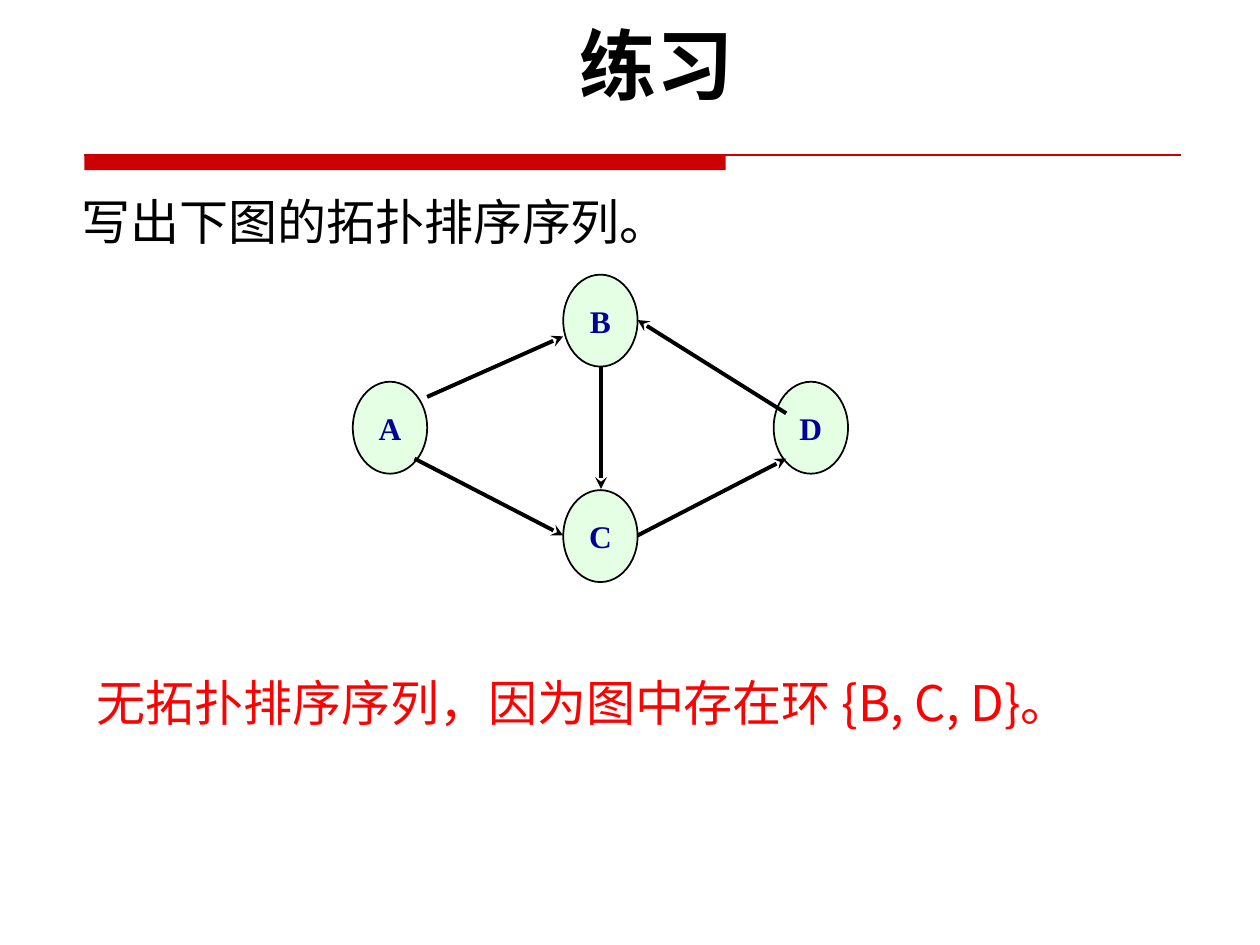
"""Build the topological-sort exercise slide with a four-node directed graph."""
from typing import NamedTuple

from lxml import etree
from pptx import Presentation
from pptx.dml.color import RGBColor
from pptx.enum.shapes import MSO_CONNECTOR, MSO_SHAPE
from pptx.enum.text import MSO_ANCHOR, MSO_AUTO_SIZE, PP_ALIGN
from pptx.oxml.ns import qn
from pptx.util import Inches, Pt

OVAL, RECT = MSO_SHAPE.OVAL, MSO_SHAPE.RECTANGLE
STRAIGHT = MSO_CONNECTOR.STRAIGHT
TOP, MIDDLE, BOTTOM = MSO_ANCHOR.TOP, MSO_ANCHOR.MIDDLE, MSO_ANCHOR.BOTTOM
CENTER, LEFT = PP_ALIGN.CENTER, PP_ALIGN.LEFT
NO_FIT = MSO_AUTO_SIZE.NONE

COLORS = {"rule": "CC0000", "node": "CCFFCC", "label": "000099",
          "ink": "000000", "answer": "FF0000"}
CJK = "Noto Sans CJK SC"
NODE_W, NODE_H = 0.59, 0.73


class Node(NamedTuple):
    label: str
    left: float
    top: float


class Edge(NamedTuple):
    x1: float
    y1: float
    x2: float
    y2: float


NODES = [Node("B", 4.47, 2.18), Node("D", 6.14, 3.03),
         Node("A", 2.8, 3.03), Node("C", 4.47, 3.89)]
EDGES = [Edge(3.39, 3.15, 4.47, 2.67), Edge(3.29, 3.64, 4.47, 4.25),
         Edge(5.06, 4.25, 6.24, 3.64), Edge(6.24, 3.28, 5.06, 2.54),
         Edge(4.77, 2.91, 4.77, 3.88)]


def rgb(name: str) -> RGBColor:
    """Return a named colour."""
    return RGBColor.from_string(COLORS[name])


def set_text(s, text: str, color: str, font: dict, anchor=TOP, align=LEFT,
             spacing: float = 1.0, wrap: bool = True) -> None:
    """Write one formatted paragraph into a shape."""
    tf = s.text_frame
    frame = {"auto_size": NO_FIT, "word_wrap": wrap, "vertical_anchor": anchor}
    for name, value in frame.items():
        setattr(tf, name, value)
    p = tf.paragraphs[0]
    p.alignment, p.line_spacing = align, spacing
    r = p.add_run()
    r.text = text
    for name, value in font.items():
        setattr(r.font, name, value)
    r.font.color.rgb = rgb(color)
    etree.SubElement(r.font._element, qn("a:ea"), typeface=CJK)


def add_text(slide, box: tuple, text: str, color: str, **layout) -> None:
    """Add a line of body text."""
    s = slide.shapes.add_textbox(*map(Inches, box))
    set_text(s, text, color, {"size": Pt(28), "name": CJK}, **layout)


def add_line(slide, edge: Edge, color: str, width: float, arrow: bool = False) -> None:
    """Add a straight line, optionally ending in a stealth arrowhead."""
    s = slide.shapes.add_connector(STRAIGHT, *map(Inches, edge))
    s.line.color.rgb = rgb(color)
    s.line.width = Pt(width)
    if arrow:
        etree.SubElement(s.line._get_or_add_ln(), qn("a:tailEnd"), type="stealth")
    etree.SubElement(s._element.spPr, qn("a:effectLst"))


def add_node(slide, node: Node) -> None:
    """Add a translucent graph node with its label."""
    box = (node.left, node.top, NODE_W, NODE_H)
    s = slide.shapes.add_shape(OVAL, *map(Inches, box))
    s.shadow.inherit = False
    s.fill.solid()
    s.fill.fore_color.rgb = rgb("node")
    fill = s._element.spPr.find(qn("a:solidFill"))
    etree.SubElement(fill[0], qn("a:alpha"), val="50000")
    s.line.color.rgb = rgb("ink")
    s.line.width = Pt(1)
    set_text(s, node.label, "label",
             {"size": Pt(18), "bold": True, "name": "Times New Roman"},
             anchor=MIDDLE, align=CENTER, wrap=False)


def add_rule(slide) -> None:
    """Add the thick bar and thin line under the title."""
    s = slide.shapes.add_shape(RECT, *map(Inches, (0.67, 1.23, 5.09, 0.12)))
    s.shadow.inherit = False
    s.fill.solid()
    s.fill.fore_color.rgb = rgb("rule")
    s.line.fill.background()
    add_line(slide, Edge(0.67, 1.23, 9.37, 1.23), "rule", 0.75)


def add_title(slide) -> None:
    """Place and format the slide title."""
    s = slide.shapes.title
    s.left, s.top, s.width, s.height = map(Inches, (0.67, 0.17, 9.08, 0.83))
    set_text(s, "练习", "ink", {"size": Pt(44), "bold": True, "name": "Lato"},
             align=CENTER, spacing=0.9)


def main() -> None:
    """Build and save the slide."""
    prs = Presentation()
    prs.slide_width, prs.slide_height = Inches(10), Inches(7.5)
    slide = prs.slides.add_slide(prs.slide_layouts[5])
    add_title(slide)
    add_rule(slide)
    for node in NODES:
        add_node(slide, node)
    for edge in EDGES:
        add_line(slide, edge, "ink", 2.25, arrow=True)
    add_text(slide, (0.67, 5.29, 8.9, 0.57),
             "无拓扑排序序列，因为图中存在环 {B, C, D}。", "answer")
    add_text(slide, (0.55, 1.41, 8.98, 0.63), "写出下图的拓扑排序序列。", "ink",
             anchor=BOTTOM, spacing=1.5)
    prs.save("out.pptx")


if __name__ == "__main__":
    main()
